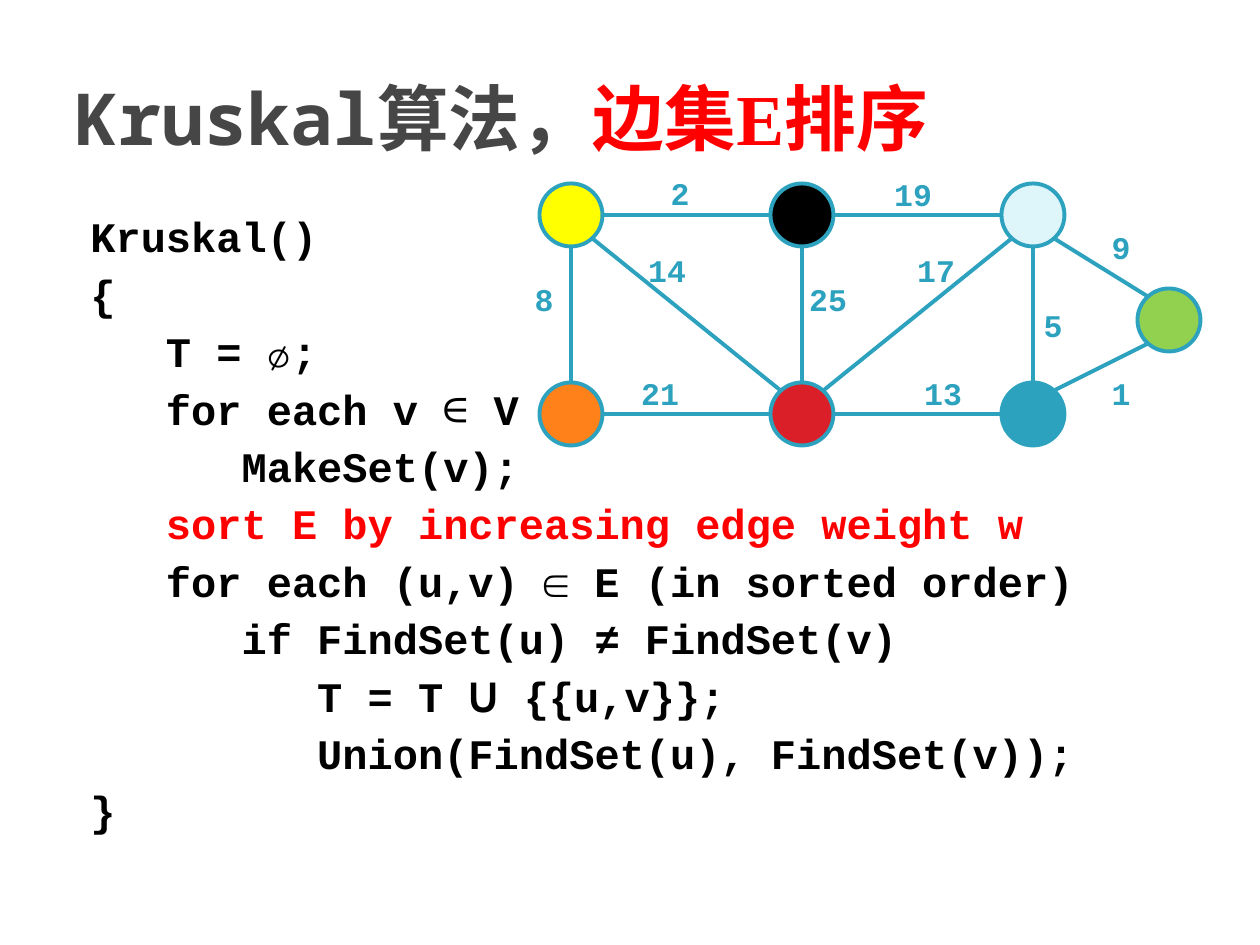
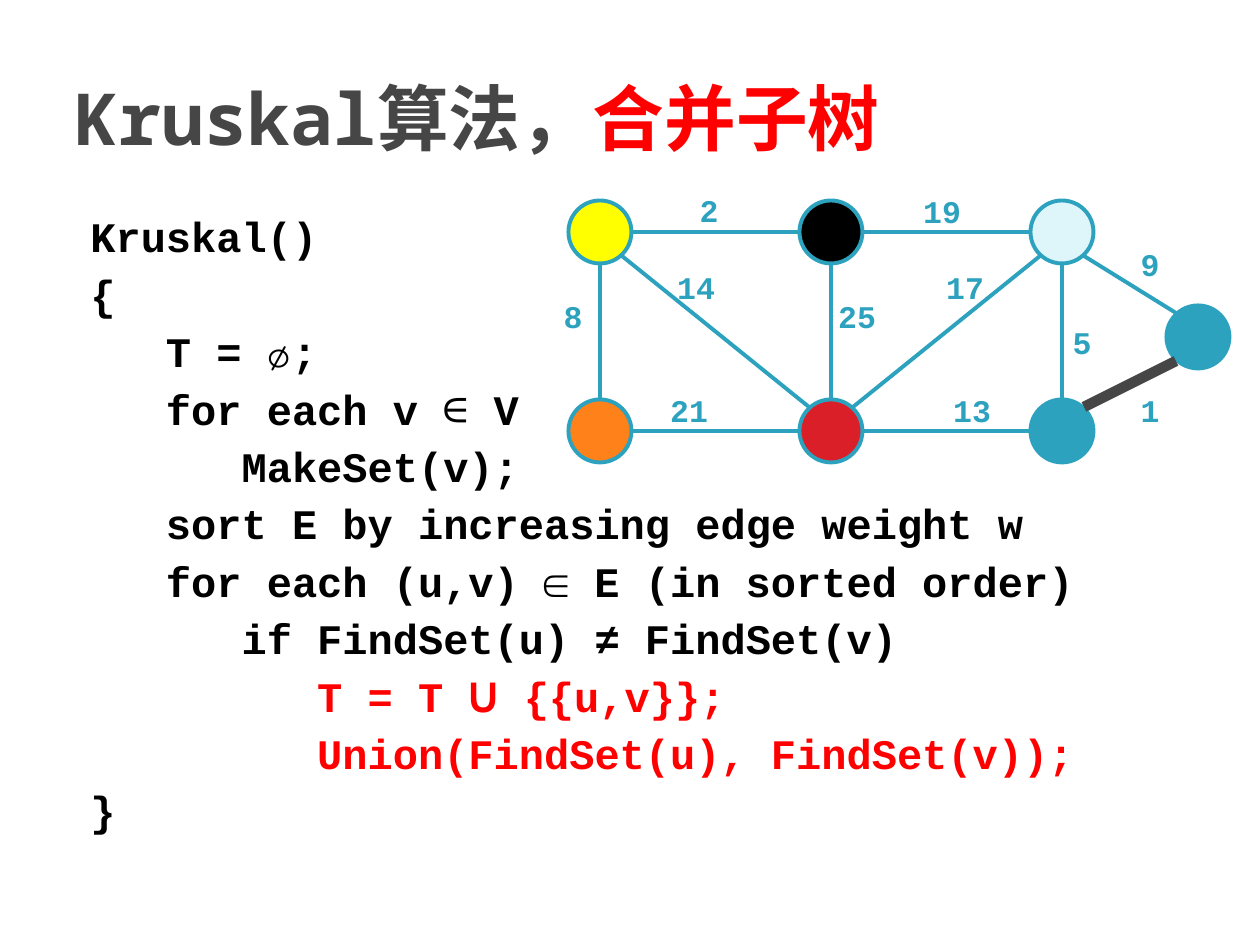
from pptx import Presentation
from pptx import util as u
from pptx.dml.color import RGBColor
from pptx.enum import shapes, text
from pptx.oxml.ns import qn
from lxml import etree

# Shared look
INK = RGBColor(0x46, 0x46, 0x46)
BLACK = RGBColor(0, 0, 0)
RED = RGBColor(0xFF, 0, 0)
TEAL = RGBColor(0x2D, 0xA2, 0xBF)
YELLOW = RGBColor(0xFF, 0xFF, 0)
PALE = RGBColor(0xDE, 0xF5, 0xFA)
GREEN = RGBColor(0x92, 0xD0, 0x50)
CRIMSON = RGBColor(0xDA, 0x1F, 0x28)
ORANGE = RGBColor(0xFF, 0x81, 0x19)
MONO, COURIER, SERIF, CABIN = "Noto Sans Mono", "Courier New", "Times New Roman", "Cabin"

# Pseudocode: each line is a list of (text, font, bold) runs
CODE = [
    [("Kruskal()", COURIER, True)],
    [("{", COURIER, True)],
    [("   T = ∅;", COURIER, True)],
    [("   for each v ", COURIER, True), ("∈", MONO, False), (" V", COURIER, True)],
    [("      MakeSet(v);", COURIER, True)],
    [("   sort E by increasing edge weight w", COURIER, True)],
    [("   for each (u,v) ∈ E (in sorted order)", COURIER, True)],
    [("      if FindSet(u) ≠ FindSet(v)", COURIER, True)],
    [("         T = T ", COURIER, True), ("U", CABIN, True), (" {{u,v}};", COURIER, True)],
    [("         Union(FindSet(u), FindSet(v));", COURIER, True)],
    [("}", COURIER, True)],
]

# Graph: vertex centres and fills; edges as (from, to, weight, label centre)
VERTICES = {
    "a": (571, 215, YELLOW), "b": (802, 215, BLACK), "c": (1033, 215, PALE),
    "f": (1033, 414, TEAL), "g": (1169, 320, GREEN),
    "e": (802, 414, CRIMSON), "d": (571, 414, ORANGE),
}
EDGES = [
    ("a", "b", 2, (680, 195)), ("b", "c", 19, (913, 196)),
    ("c", "e", 17, (936, 272)), ("e", "d", 21, (660, 395)),
    ("d", "a", 8, (544, 301)), ("a", "e", 14, (667, 272)),
    ("e", "b", 25, (828, 301)), ("e", "f", 13, (943, 395)),
    ("f", "c", 5, (1053, 327)), ("c", "g", 9, (1121, 249)),
    ("f", "g", 1, (1121, 395)),
]
DIAMETER, REACH, DIAGONAL_REACH = 63, 33, (22, 24)

SLIDES = [
    {"title": [("边集", MONO), ("E", SERIF), ("排序", MONO)],
     "red_lines": {5}, "shift": (0, 0), "recolour": {}, "chosen": set()},
    {"title": [("合并子树", MONO)],
     "red_lines": {8, 9}, "shift": (29, 17), "recolour": {"g": TEAL}, "chosen": {1}},
]


def px(n):
    return u.Emu(round(n * 914400 / 126))


def box(*lengths):
    return [px(n) for n in lengths]


def style(run, font, size, colour, bold=True):
    run.font.name, run.font.size, run.font.bold = font, u.Pt(size), bold
    run.font.color.rgb = colour
    east_asian = etree.Element(qn("a:ea"), typeface=font)
    run.font._element.find(qn("a:latin")).addnext(east_asian)


def add_styled(paragraph, words, *look):
    run = paragraph.add_run()
    run.text = words
    style(run, *look)


def add_title(slide, ending):
    title = slide.shapes.title
    title.left, title.top, title.width, title.height = box(63, 38, 1134, 157)
    frame = title.text_frame
    frame.auto_size = text.MSO_AUTO_SIZE.NONE
    frame.vertical_anchor = text.MSO_ANCHOR.MIDDLE
    paragraph = frame.paragraphs[0]
    paragraph.alignment = text.PP_ALIGN.LEFT
    add_styled(paragraph, "Kruskal算法，", MONO, 41, INK)
    for words, font in ending:
        add_styled(paragraph, words, font, 41, RED)


def add_code(slide, red_lines):
    frame = slide.shapes.add_textbox(*box(63, 204, 1134, 624)).text_frame
    frame.word_wrap = True
    frame.margin_top = px(7)
    for number, line in enumerate(CODE):
        paragraph = frame.add_paragraph() if number else frame.paragraphs[0]
        properties = paragraph._p.get_or_add_pPr()
        properties.set("marL", str(px(50)))
        properties.set("indent", str(px(-35)))
        if number:
            paragraph.space_before = u.Pt(4)
        colour = RED if number in red_lines else BLACK
        for words, font, bold in line:
            add_styled(paragraph, words, font, 24, colour, bold)


def sign(n):
    return (n > 0) - (n < 0)


def edge_ends(start, end):
    """Stop an edge just outside both circles, at the nearest compass point."""
    (x1, y1, _), (x2, y2, _) = VERTICES[start], VERTICES[end]
    sx, sy = sign(x2 - x1), sign(y2 - y1)
    across, down = DIAGONAL_REACH if sx and sy else (REACH, REACH)
    return x1 + sx * across, y1 + sy * down, x2 - sx * across, y2 - sy * down


def add_graph(slide, shift, recolour, chosen):
    dx, dy = shift
    # Vertices
    for key, (x, y, fill) in VERTICES.items():
        vertex = slide.shapes.add_shape(
            shapes.MSO_SHAPE.OVAL,
            *box(x + dx - DIAMETER / 2, y + dy - DIAMETER / 2, DIAMETER, DIAMETER))
        vertex.shadow.inherit = False
        vertex.fill.solid()
        vertex.fill.fore_color.rgb = recolour.get(key, fill)
        vertex.line.color.rgb = TEAL
        vertex.line.width = u.Pt(2.25)
    # Edges
    for start, end, weight, _ in EDGES:
        x1, y1, x2, y2 = edge_ends(start, end)
        edge = slide.shapes.add_connector(
            shapes.MSO_CONNECTOR.STRAIGHT, *box(x1 + dx, y1 + dy, x2 + dx, y2 + dy))
        edge.line.color.rgb = INK if weight in chosen else TEAL
        edge.line.width = u.Pt(6 if weight in chosen else 2.25)
        etree.SubElement(edge._element.spPr, qn("a:effectLst"))
    # Weights
    for _, _, weight, (x, y) in EDGES:
        width = 47 if weight < 10 else 67
        label = slide.shapes.add_textbox(*box(x + dx - width / 2, y + dy - 27, width, 54))
        frame = label.text_frame
        frame.word_wrap = False
        frame.text = str(weight)
        frame.paragraphs[0].alignment = text.PP_ALIGN.CENTER
        style(frame.paragraphs[0].runs[0], COURIER, 18, TEAL)


def main():
    deck = Presentation()
    deck.slide_width, deck.slide_height = box(1260, 945)
    for content in SLIDES:
        slide = deck.slides.add_slide(deck.slide_layouts[5])
        add_title(slide, content["title"])
        add_code(slide, content["red_lines"])
        add_graph(slide, content["shift"], content["recolour"], content["chosen"])
    deck.save("out.pptx")


if __name__ == "__main__":
    main()
